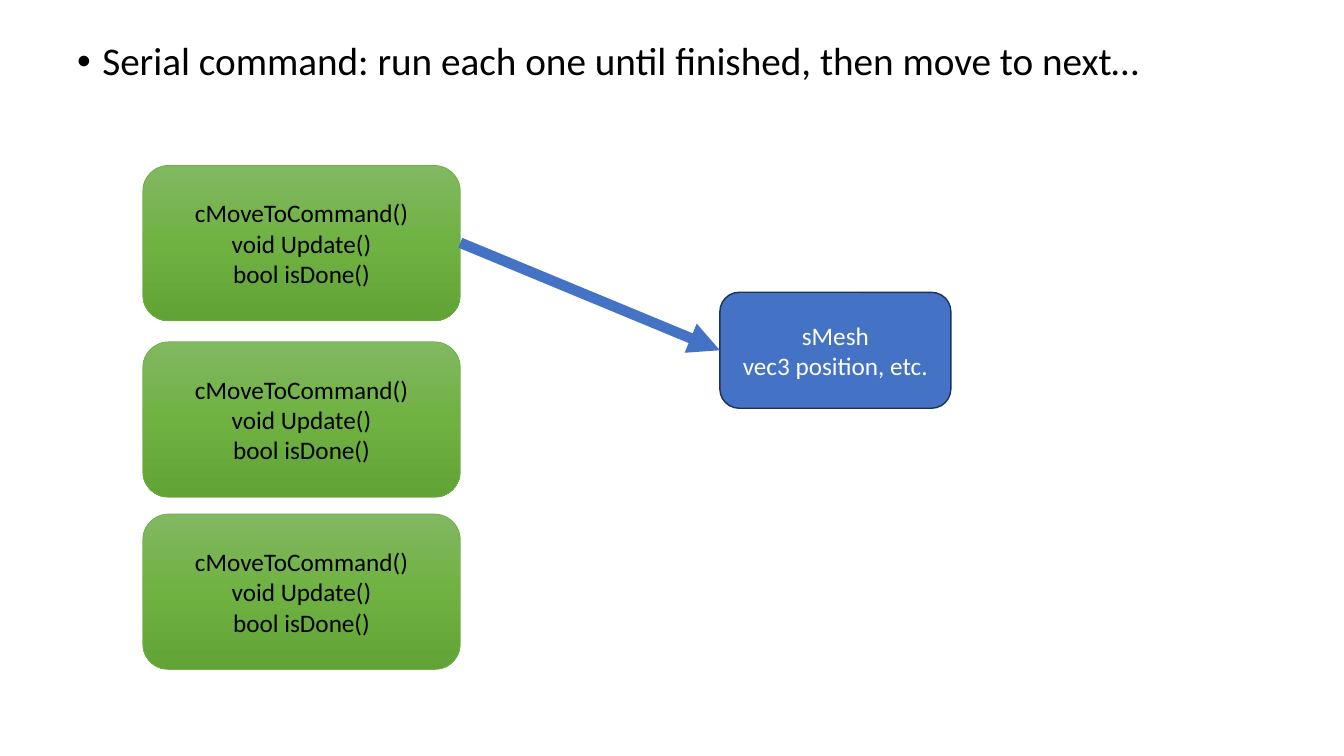
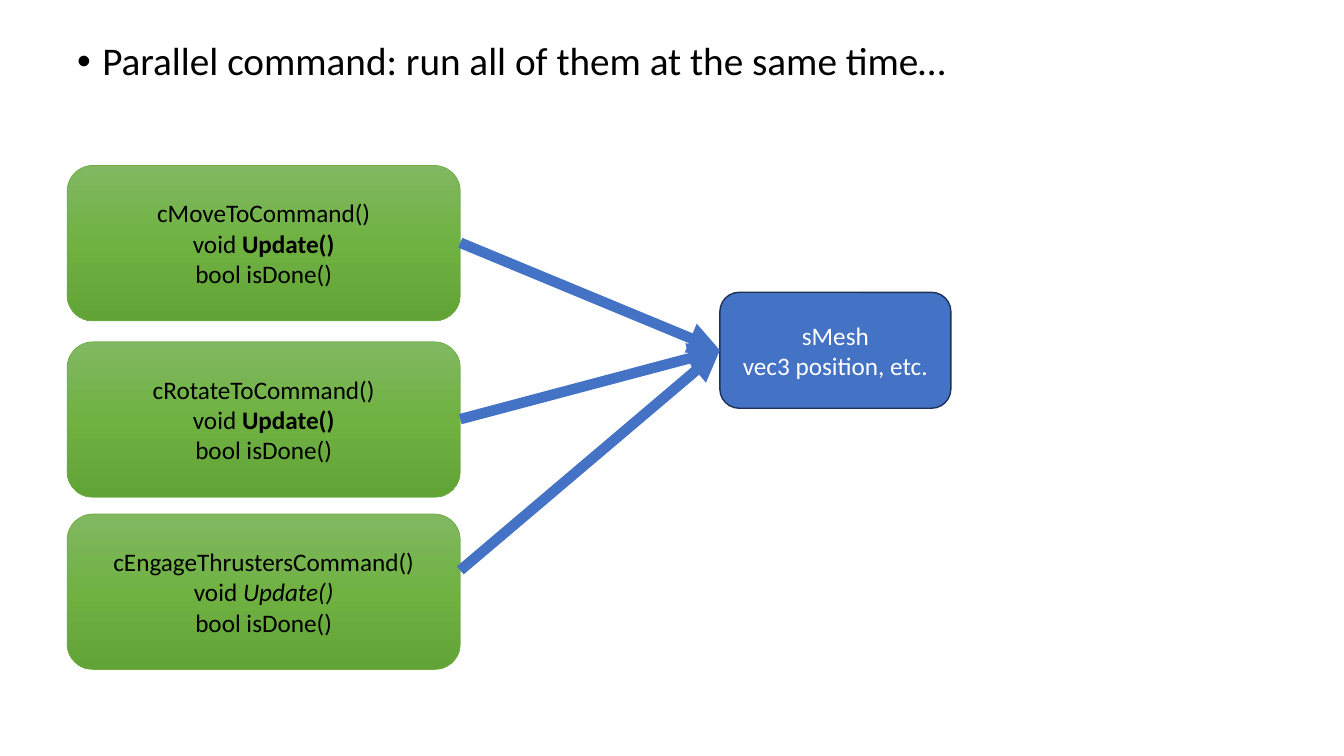
from copy import deepcopy
from dataclasses import dataclass
from pptx import Presentation
from pptx.dml.color import RGBColor
from pptx.enum.shapes import MSO_CONNECTOR, MSO_SHAPE
from pptx.enum.text import MSO_ANCHOR, PP_ALIGN
from pptx.oxml.ns import qn
from pptx.util import Inches, Pt
from lxml.etree import SubElement


@dataclass(frozen=True)
class Theme:
    font: str = "Calibri"
    head: int = 28
    body: int = 18
    ink: str = "000000"
    pale: str = "FFFFFF"
    blue: str = "4472C4"
    navy: str = "1E3256"
    edge: str = "70AD47"
    green: tuple = ((0, "81B861"), (50, "6FB242"), (100, "62A336"))


THEME = Theme()
COLS, ROWS = 160, 90
WIDE, HIGH = Inches(COLS / 12), Inches(ROWS / 12)
PLAIN, BOLD, SLANT = {}, {"bold": True}, {"italic": True}


def method(name, style):
    return [[(name, PLAIN)],
            [("void ", PLAIN), ("Update()", style)],
            [("bool isDone()", PLAIN)]]


MESH = [[("sMesh", PLAIN)], [("vec3 position, etc.", PLAIN)]]
SLIDES = [
    {"title": "Serial command: run each one until finished, then move to next…",
     "left": 17, "arrows": 1,
     "calls": [method("cMoveToCommand()", PLAIN)] * 3},
    {"title": "Parallel command: run all of them at the same time…",
     "left": 8, "arrows": 3,
     "calls": [method("cMoveToCommand()", BOLD),
               method("cRotateToCommand()", BOLD),
               method("cEngageThrustersCommand()", SLANT)]},
]
TITLE = (8, 4.4, 138, 9.5)
TARGET = (85.7, 34.8, 27.5, 13.8)
RIGHT, TALL = 54.8, 18.5
TOPS = (19.7, 40.7, 61.2)
STARTS = (28.9, 49.9, 67.9)


def place(*cells):
    return [round(cell * size) for cell, size
            in zip(cells, (WIDE / COLS, HIGH / ROWS) * 2)]


def apply(item, values):
    for name, value in values.items():
        setattr(item, name, value)


def write(par, runs, size, color):
    for text, style in runs:
        run = par.add_run()
        run.text = text
        apply(run.font, {"name": THEME.font, "size": Pt(size), **style})
        run.font.color.rgb = RGBColor.from_string(color)


def solid(fill, color):
    fill.solid()
    fill.fore_color.rgb = RGBColor.from_string(color)


def shade(shape, stops):
    shape.fill.gradient()
    shape.fill.gradient_angle = 270
    group = shape._element.spPr.find(qn("a:gradFill")).find(qn("a:gsLst"))
    base = deepcopy(group[0])
    for stop in list(group):
        group.remove(stop)
    for share, color in stops:
        stop = deepcopy(base)
        for child in list(stop):
            stop.remove(child)
        stop.set("pos", str(share * 1000))
        SubElement(stop, qn("a:srgbClr")).set("val", color)
        group.append(stop)


def add_box(slide, cells, lines, color, edge, width):
    box = slide.shapes.add_shape(MSO_SHAPE.ROUNDED_RECTANGLE, *place(*cells))
    box.shadow.inherit = False
    solid(box.line.fill, edge)
    box.line.width = Pt(width)
    frame = box.text_frame
    apply(frame, {"word_wrap": True, "vertical_anchor": MSO_ANCHOR.MIDDLE})
    for count, runs in enumerate(lines):
        par = frame.add_paragraph() if count else frame.paragraphs[0]
        par.alignment = PP_ALIGN.CENTER
        write(par, runs, THEME.body, color)
    return box


def add_title(slide, text):
    frame = slide.shapes.add_textbox(*place(*TITLE)).text_frame
    frame.word_wrap = True
    par = frame.paragraphs[0]
    apply(par, {"line_spacing": 0.9, "space_before": Pt(10)})
    props = par._p.get_or_add_pPr()
    for name, value in {"marL": Inches(0.25), "indent": -Inches(0.25)}.items():
        props.set(name, str(value))
    SubElement(props, qn("a:buFont")).set("typeface", "Arial")
    SubElement(props, qn("a:buChar")).set("char", "•")
    write(par, [(text, PLAIN)], THEME.head, THEME.ink)


def add_arrow(slide, start):
    goal = TARGET[0], TARGET[1] + TARGET[3] / 2
    link = slide.shapes.add_connector(
        MSO_CONNECTOR.STRAIGHT, *place(RIGHT, start, *goal))
    solid(link.line.fill, THEME.blue)
    link.line.width = Pt(7.5)
    SubElement(link.line._get_or_add_ln(), qn("a:tailEnd")).set("type", "triangle")
    SubElement(link._element.spPr, qn("a:effectLst"))


def build(deck, data):
    slide = deck.slides.add_slide(deck.slide_layouts[6])
    add_title(slide, data["title"])
    mesh = add_box(slide, TARGET, MESH, THEME.pale, THEME.navy, 1)
    solid(mesh.fill, THEME.blue)
    left = data["left"]
    for top, lines in zip(TOPS, data["calls"]):
        box = add_box(slide, (left, top, RIGHT - left, TALL), lines,
                      THEME.ink, THEME.edge, 0.5)
        shade(box, THEME.green)
    for start in STARTS[:data["arrows"]]:
        add_arrow(slide, start)


def main():
    deck = Presentation()
    apply(deck, {"slide_width": WIDE, "slide_height": HIGH})
    for data in SLIDES:
        build(deck, data)
    deck.save("out.pptx")


if __name__ == "__main__":
    main()
